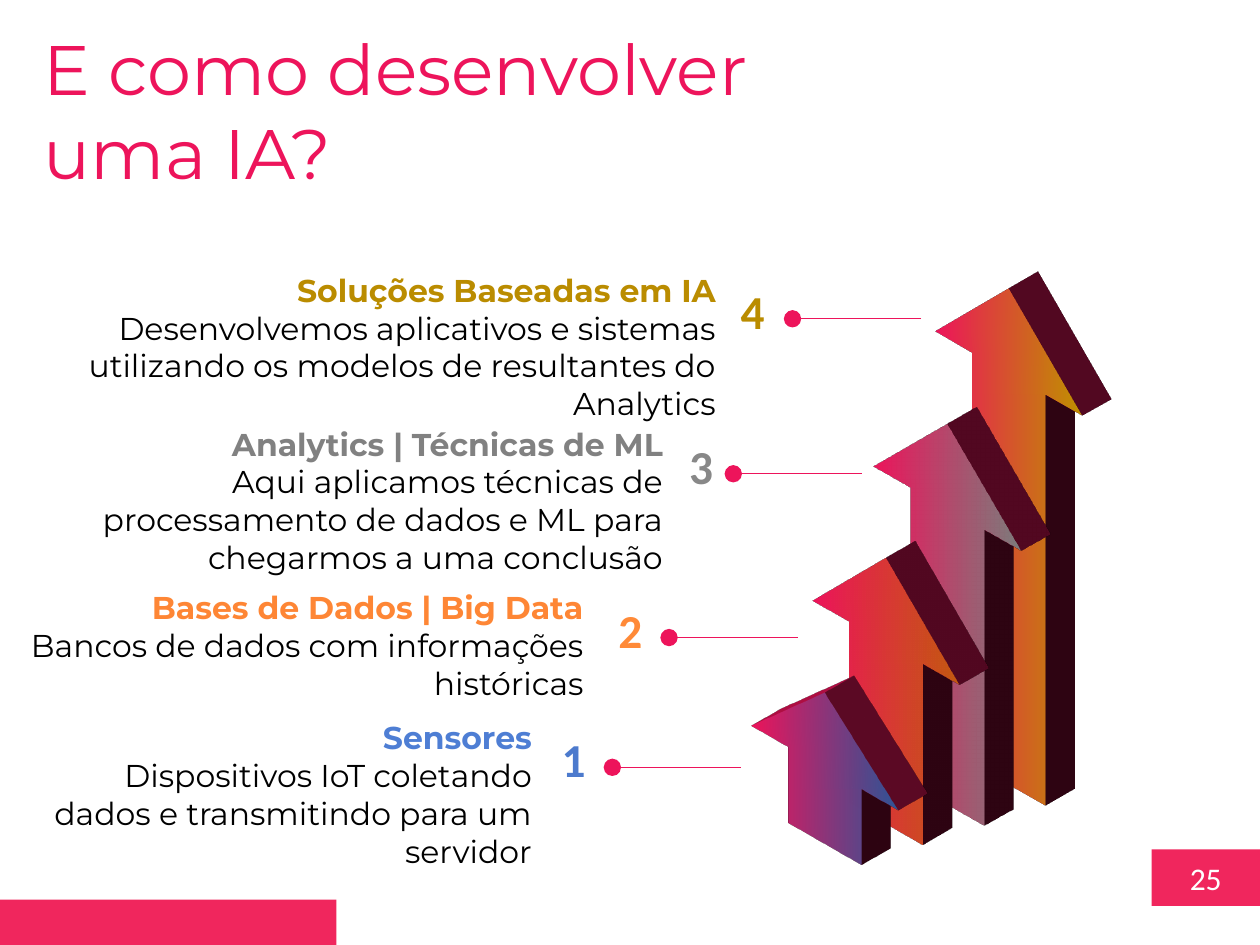
from lxml import etree
from pptx import Presentation
from pptx.dml.color import RGBColor
from pptx.enum.shapes import MSO_CONNECTOR, MSO_SHAPE
from pptx.enum.text import MSO_ANCHOR, PP_ALIGN
from pptx.oxml import parse_xml
from pptx.oxml.ns import nsdecls, qn
from pptx.util import Inches, Pt

RECT = MSO_SHAPE.RECTANGLE
ARROW = MSO_SHAPE.UP_ARROW
LINE = MSO_CONNECTOR.STRAIGHT
MIDDLE = MSO_ANCHOR.MIDDLE
LEFT, CENTER, RIGHT = PP_ALIGN.LEFT, PP_ALIGN.CENTER, PP_ALIGN.RIGHT

PINK = RGBColor(0xED, 0x14, 0x5B)
ROSE = RGBColor(0xF0, 0x26, 0x5D)
WHITE = RGBColor(0xFF, 0xFF, 0xFF)
BLACK = RGBColor(0x00, 0x00, 0x00)
BLUE = RGBColor(0x4E, 0x7E, 0xD4)
ORANGE = RGBColor(0xFE, 0x86, 0x35)
GRAY = RGBColor(0x81, 0x81, 0x81)
GOLD = RGBColor(0xBA, 0x8C, 0x00)
BLUE_NUM = RGBColor(0x4C, 0x7A, 0xCD)
ORANGE_NUM = RGBColor(0xFF, 0x8A, 0x38)
GRAY_NUM = RGBColor(0x88, 0x88, 0x88)
NAVY = RGBColor(0x2F, 0x55, 0x97)
RUST = RGBColor(0xC5, 0x5A, 0x11)
STEEL = RGBColor(0x7C, 0x7C, 0x7C)
OCHRE = RGBColor(0xBF, 0x90, 0x00)

SCENE = (
    f'<a:scene3d {nsdecls("a")}><a:camera prst="isometricLeftDown"/>'
    '<a:lightRig rig="threePt" dir="t"/></a:scene3d>'
)
DEPTH = f'<a:sp3d {nsdecls("a")} extrusionH="{Inches(0.33)}"/>'

prs = Presentation()
prs.slide_width, prs.slide_height = Inches(10), Inches(7.5)
slide = prs.slides.add_slide(prs.slide_layouts[6])
shapes = slide.shapes


def style(para, size, font, color, bold=False, align=LEFT):
    para.alignment = align
    for run in para.runs:
        run.font.size = Pt(size)
        run.font.name = font
        run.font.bold = bold
        run.font.color.rgb = color


def add_text(text, x, y, w, h):
    frame = shapes.add_textbox(Inches(x), Inches(y), Inches(w), Inches(h)).text_frame
    frame.word_wrap = True
    frame.text = text
    return frame


for x, y, w, h, text in [(9.14, 6.74, 0.86, 0.45, "25"), (0, 7.14, 2.67, 0.36, "")]:
    bar = shapes.add_shape(RECT, Inches(x), Inches(y), Inches(w), Inches(h))
    bar.shadow.inherit = False
    bar.fill.solid()
    bar.fill.fore_color.rgb = ROSE
    bar.line.fill.background()
    if text:
        bar.text_frame.text = text
        bar.text_frame.vertical_anchor = MIDDLE
        style(bar.text_frame.paragraphs[0], 18, "Calibri", WHITE, align=CENTER)

title = add_text("E como desenvolver uma IA?", 0.25, 0.15, 6.92, 0.77)
style(title.paragraphs[0], 40, "Montserrat", PINK)

for i, color in enumerate([OCHRE, STEEL, RUST, NAVY]):
    arrow = shapes.add_shape(
        ARROW, Inches(7.18 - 0.487 * i), Inches(1.86 + 1.167 * i),
        Inches(1.65), Inches(4.8 - 1.113 * i))
    arrow.shadow.inherit = False
    arrow.fill.gradient()
    arrow.fill.gradient_angle = 0
    for stop, tone, place in zip(arrow.fill.gradient_stops, (PINK, color), (0, 1)):
        stop.color.rgb = tone
        stop.position = place
    arrow.line.fill.background()
    props = arrow._element.spPr
    props.append(parse_xml(SCENE))
    props.append(parse_xml(DEPTH))

steps = [
    ("1", BLUE_NUM, 4.36, 5.75, 4.86, 6.09, "Sensores", BLUE, 0.32, 5.65, 4, 1.01,
     "Dispositivos IoT coletando dados e transmitindo para um servidor"),
    ("2", ORANGE_NUM, 4.81, 4.72, 5.31, 5.06, "Bases de Dados | Big Data", ORANGE,
     -0.62, 4.62, 5.35, 0.71, "Bancos de dados com informações históricas"),
    ("3", GRAY_NUM, 5.37, 3.42, 5.82, 3.76, "Analytics | Técnicas de ML", GRAY,
     0.01, 3.32, 5.35, 1.01,
     "Aqui aplicamos técnicas de processamento de dados e ML para chegarmos a uma conclusão"),
    ("4", GOLD, 5.78, 2.19, 6.29, 2.53, "Soluções Baseadas em IA", GOLD,
     0.43, 2.1, 5.35, 1.01,
     "Desenvolvemos aplicativos e sistemas utilizando os modelos de resultantes do Analytics"),
]
for num, shade, nx, ny, dot, mid, head, color, x, y, w, h, body in steps:
    line = shapes.add_connector(LINE, Inches(dot + 1.02), Inches(mid), Inches(dot), Inches(mid))
    line.line.color.rgb = PINK
    line.line.width = Pt(0.5)
    tail = etree.SubElement(line.line._get_or_add_ln(), qn("a:tailEnd"))
    tail.set("type", "oval")
    tail.set("w", "lg")
    tail.set("len", "lg")
    etree.SubElement(line._element.spPr, qn("a:effectLst"))

    label = add_text(num, nx, ny, 0.41, 0.56)
    style(label.paragraphs[0], 27, "Calibri", shade, bold=True)

    note = add_text(head, x, y, w, h)
    style(note.paragraphs[0], 18, "Montserrat", color, bold=True, align=RIGHT)
    para = note.add_paragraph()
    para.text = body
    style(para, 18, "Montserrat", BLACK, align=RIGHT)

prs.save("out.pptx")
